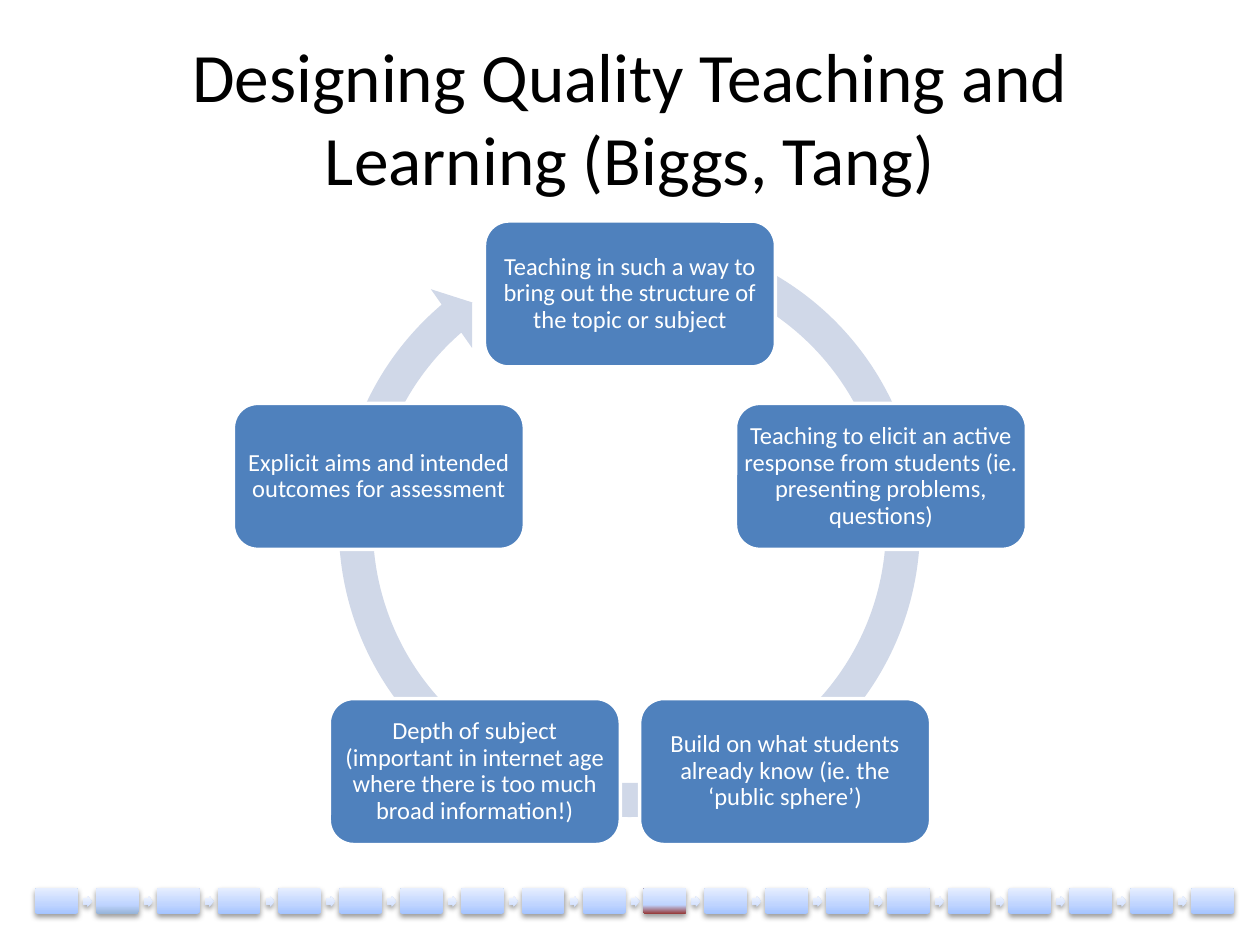
from dataclasses import dataclass
from math import cos, pi, sin

from lxml import etree
from pptx import Presentation
from pptx.dml.color import RGBColor
from pptx.enum.shapes import MSO_SHAPE
from pptx.enum.text import MSO_ANCHOR, PP_ALIGN
from pptx.oxml.ns import qn
from pptx.util import Pt

ROUND_RECT = MSO_SHAPE.ROUNDED_RECTANGLE
RIGHT_ARROW = MSO_SHAPE.RIGHT_ARROW
CIRCULAR_ARROW = MSO_SHAPE.CIRCULAR_ARROW
CENTER = PP_ALIGN.CENTER
MIDDLE = MSO_ANCHOR.MIDDLE

TITLE = "Designing Quality Teaching and Learning (Biggs, Tang)"
# Clockwise from the top
STEPS = [
    "Teaching in such a way to bring out the structure of the topic or subject",
    "Teaching to elicit an active response from students (ie. presenting problems, questions)",
    "Build on what students already know (ie. the ‘public sphere’)",
    "Depth of subject (important in internet age where there is too much broad information!)",
    "Explicit aims and intended outcomes for assessment",
]
LINK_COUNT = 20
MARKED_LINKS = {1: "95B3D7", 10: "953735"}  # link index: colour at the bottom


@dataclass(frozen=True)
class Theme:
    font: str = "Calibri"
    title_size: float = 39.6
    step_size: float = 14
    title: str = "000000"
    step: str = "4F81BD"
    on_step: str = "FFFFFF"
    ring: str = "D0D8E8"
    link: tuple = ("A4C4FF", "BFD4FF", "E6EEFF")  # bottom to top
    arrow: tuple = ("CDDDFE", "DBE6FE", "F0F5FF")
    shadow: str = "000000"


THEME = Theme()
GRADIENT_STOPS = (0, 35, 100)
EMU_PER_PX = 914400 // 126

# Geometry in px
SLIDE_W, SLIDE_H = 1260, 945
TITLE_BOX = (63, 38, 1134, 157)
RING_BOX = (320, 217, 619, 619)
RING_ADJUSTMENTS = (0.055, 3.307, 137.657, 173.922, 0.058)
CYCLE_X, CYCLE_Y, CYCLE_R = 630, 558, 264
STEP_W, STEP_H = 291, 146
CHAIN_LEFT, CHAIN_RIGHT, CHAIN_Y = 35, 1191, 888  # left edges of first and last link
LINK_W, LINK_H = 43, 26
ARROW_DX, ARROW_DY, ARROW_W, ARROW_H = 48, 8, 9, 11


def px(value):
    return round(value * EMU_PER_PX)


def rgb(value):
    return RGBColor.from_string(value)


def add_shape(slide, kind, box, adjustments=()):
    """Add a preset shape with no line and no shadow."""
    sp = slide.shapes.add_shape(kind, *map(px, box))
    sp.shadow.inherit = False
    sp.line.fill.background()
    for i, value in enumerate(adjustments):
        sp.adjustments[i] = value
    return sp


def fill_solid(sp, color):
    sp.fill.solid()
    sp.fill.fore_color.rgb = rgb(color)


def add_color(parent, color):
    return etree.SubElement(parent, qn("a:srgbClr"), val=color)


def fill_gradient(sp, colors):
    """Fill from bottom to top with three colour stops."""
    sp.fill.gradient()
    sp.fill.gradient_angle = 90
    stops = sp.element.spPr.find(f"{qn('a:gradFill')}/{qn('a:gsLst')}")
    for old in list(stops):
        stops.remove(old)
    for percent, color in zip(GRADIENT_STOPS, colors):
        add_color(etree.SubElement(stops, qn("a:gs"), pos=str(percent * 1000)), color)


def drop_shadow(sp):
    effects = sp.element.spPr.find(qn("a:effectLst"))
    shadow = etree.SubElement(
        effects, qn("a:outerShdw"), blurRad=str(Pt(3.1)), dist=str(Pt(1.6)),
        dir="5400000", rotWithShape="0")
    etree.SubElement(add_color(shadow, THEME.shadow), qn("a:alpha"), val="38000")


def set_text(sp, text, size, color):
    tf = sp.text_frame
    tf.word_wrap = True
    tf.vertical_anchor = MIDDLE
    p = tf.paragraphs[0]
    p.text = text
    p.alignment = CENTER
    p.font.name = THEME.font
    p.font.size = Pt(size)
    p.font.color.rgb = rgb(color)
    return tf


def add_cycle(slide):
    ring = add_shape(slide, CIRCULAR_ARROW, RING_BOX, RING_ADJUSTMENTS)
    fill_solid(ring, THEME.ring)
    for i, text in enumerate(STEPS):
        angle = 2 * pi * i / len(STEPS)
        left = CYCLE_X + CYCLE_R * sin(angle) - STEP_W / 2
        top = CYCLE_Y - CYCLE_R * cos(angle) - STEP_H / 2
        sp = add_shape(slide, ROUND_RECT, (left, top, STEP_W, STEP_H))
        fill_solid(sp, THEME.step)
        sp.line.color.rgb = rgb(THEME.on_step)
        sp.line.width = Pt(2)
        tf = set_text(sp, text, THEME.step_size, THEME.on_step)
        tf.margin_left = tf.margin_right = tf.margin_top = tf.margin_bottom = 0
        tf.paragraphs[0].line_spacing = 0.9


def add_chain_part(slide, kind, box, adjustments, colors):
    sp = add_shape(slide, kind, box, adjustments)
    fill_gradient(sp, colors)
    drop_shadow(sp)


def add_chain(slide):
    pitch = (CHAIN_RIGHT - CHAIN_LEFT) / (LINK_COUNT - 1)
    for i in range(LINK_COUNT):
        left = CHAIN_LEFT + i * pitch
        bottom, *rest = THEME.link
        add_chain_part(slide, ROUND_RECT, (left, CHAIN_Y, LINK_W, LINK_H), (0.1,),
                       (MARKED_LINKS.get(i, bottom), *rest))
        if i < LINK_COUNT - 1:
            arrow_box = (left + ARROW_DX, CHAIN_Y + ARROW_DY, ARROW_W, ARROW_H)
            add_chain_part(slide, RIGHT_ARROW, arrow_box, (0.6, 0.5), THEME.arrow)


def main():
    prs = Presentation()
    prs.slide_width, prs.slide_height = px(SLIDE_W), px(SLIDE_H)
    slide = prs.slides.add_slide(prs.slide_layouts[6])
    title = slide.shapes.add_textbox(*map(px, TITLE_BOX))
    set_text(title, TITLE, THEME.title_size, THEME.title)
    add_cycle(slide)
    add_chain(slide)
    prs.save("out.pptx")


if __name__ == "__main__":
    main()
